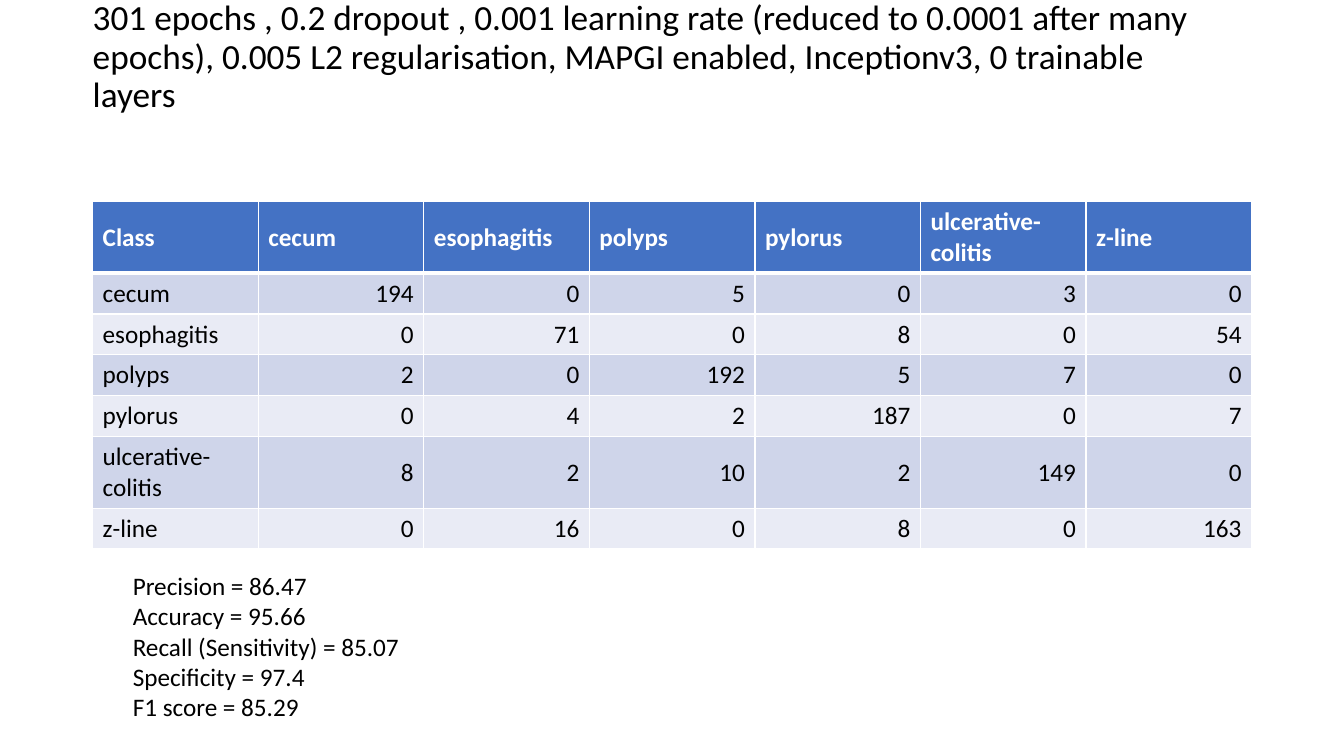
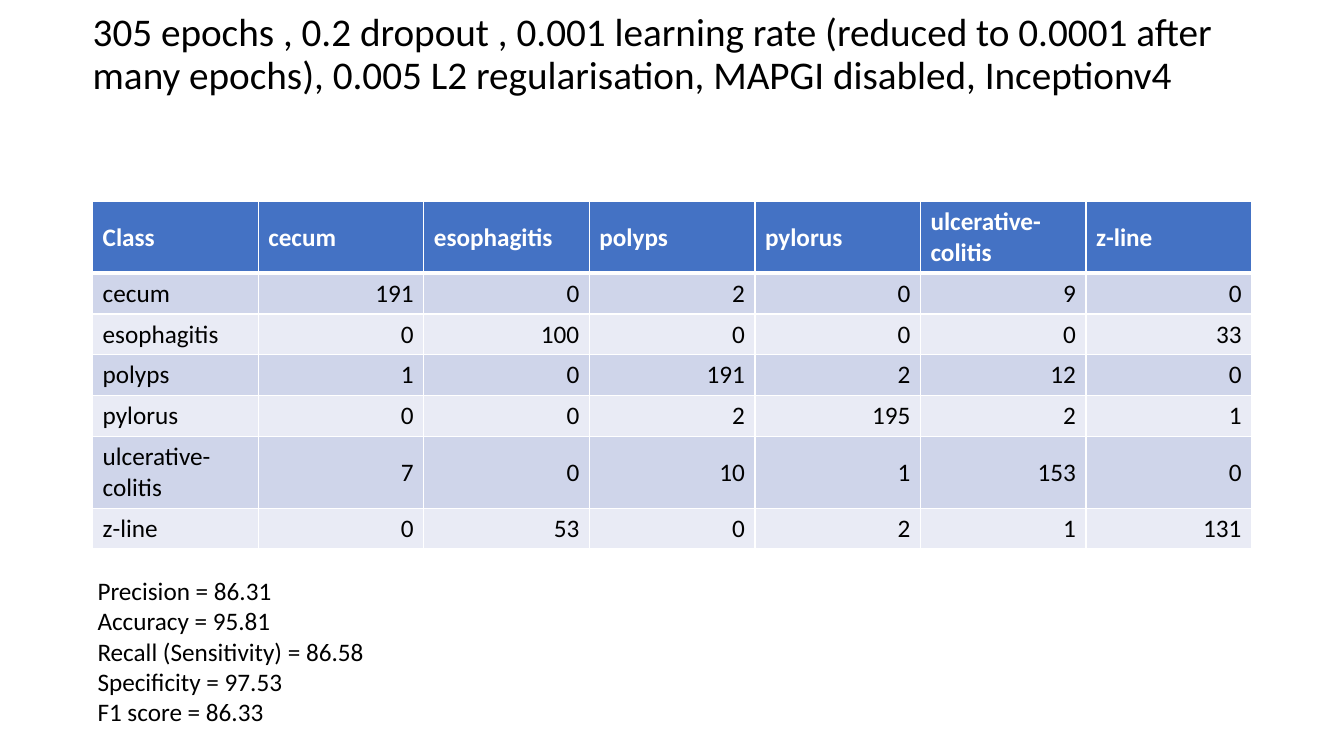
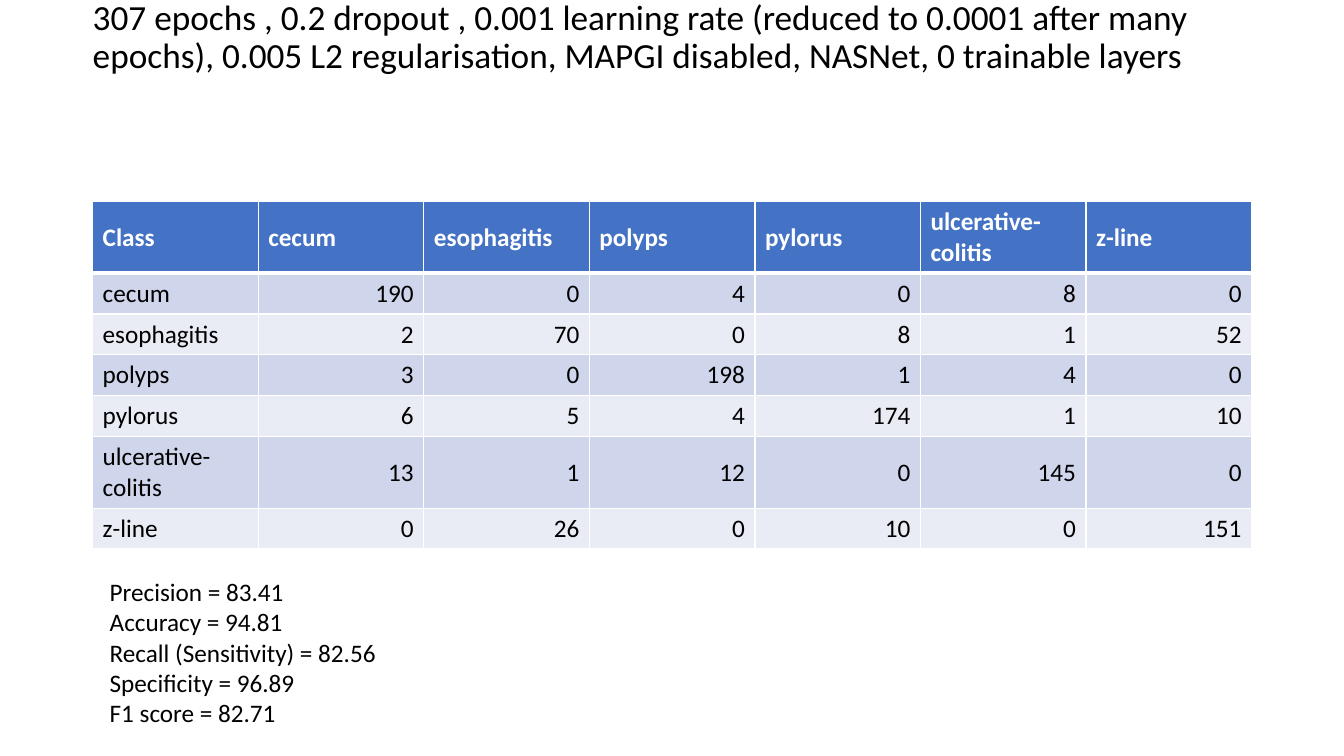
from lxml.etree import SubElement
from pptx import Presentation
from pptx.dml.color import RGBColor
from pptx.enum.text import MSO_ANCHOR, PP_ALIGN
from pptx.oxml.ns import qn
from pptx.util import Pt

COLORS = {
    "text": "000000",
    "white": "FFFFFF",
    "header": "4472C4",
    "odd_row": "CFD5EA",
    "even_row": "E9EBF5",
}
FONT = "Calibri"
BODY_SIZE = 18
INSET = 3.6
LINE_HEIGHT = 1.22
TITLE_SPACING = 0.9

TITLE_BOX = (59.2, 17.2, 828, 75.6)
TABLE_BOX = (66.2, 144, 828, 248.2)
METRICS_SIZE = (216, 138)
ONE_LINE_ROW, TWO_LINE_ROW = 29.2, 51.1

CLASSES = ["cecum", "esophagitis", "polyps", "pylorus", "ulcerative-colitis", "z-line"]
METRICS = ["Precision", "Accuracy", "Recall (Sensitivity)", "Specificity", "F1 score"]
COMMON_SETUP = (
    "epochs , 0.2 dropout , 0.001 learning rate "
    "(reduced to 0.0001 after many epochs), 0.005 L2 regularisation, MAPGI"
)

# title_gap: title lines kept free below the text
EXPERIMENTS = [
    {
        "title": f"301 {COMMON_SETUP} enabled, Inceptionv3, 0 trainable layers",
        "title_size": 25.2,
        "title_gap": 1,
        "confusion": [
            [194, 0, 5, 0, 3, 0],
            [0, 71, 0, 8, 0, 54],
            [2, 0, 192, 5, 7, 0],
            [0, 4, 2, 187, 0, 7],
            [8, 2, 10, 2, 149, 0],
            [0, 16, 0, 8, 0, 163],
        ],
        "scores": [86.47, 95.66, 85.07, 97.4, 85.29],
        "scores_at": (87.8, 403.9),
    },
    {
        "title": f"305 {COMMON_SETUP} disabled, Inceptionv4",
        "title_size": 28,
        "title_gap": 1,
        "confusion": [
            [191, 0, 2, 0, 9, 0],
            [0, 100, 0, 0, 0, 33],
            [1, 0, 191, 2, 12, 0],
            [0, 0, 2, 195, 2, 1],
            [7, 0, 10, 1, 153, 0],
            [0, 53, 0, 2, 1, 131],
        ],
        "scores": [86.31, 95.81, 86.58, 97.53, 86.33],
        "scores_at": (62.6, 407.5),
    },
    {
        "title": f"307 {COMMON_SETUP} disabled, NASNet, 0 trainable layers",
        "title_size": 25.2,
        "title_gap": 2,
        "confusion": [
            [190, 0, 4, 0, 8, 0],
            [2, 70, 0, 8, 1, 52],
            [3, 0, 198, 1, 4, 0],
            [6, 5, 4, 174, 1, 10],
            [13, 1, 12, 0, 145, 0],
            [0, 26, 0, 10, 0, 151],
        ],
        "scores": [83.41, 94.81, 82.56, 96.89, 82.71],
        "scores_at": (71.3, 408.2),
    },
]


def color(name):
    return RGBColor.from_string(COLORS[name])


def add_run(paragraph, text, size=BODY_SIZE, color_name="text", bold=False):
    run = paragraph.add_run()
    run.text = text
    run.font.name = FONT
    run.font.size = Pt(size)
    run.font.bold = bold
    run.font.color.rgb = color(color_name)


def add_text_frame(slide, box):
    text_frame = slide.shapes.add_textbox(*map(Pt, box)).text_frame
    text_frame.word_wrap = True
    return text_frame


def add_title(slide, box, text, size, gap_lines):
    """Centre the title together with the free lines below it."""
    text_frame = add_text_frame(slide, box)
    text_frame.vertical_anchor = MSO_ANCHOR.MIDDLE
    gap = gap_lines * size * LINE_HEIGHT * TITLE_SPACING
    text_frame.margin_bottom = Pt(INSET + gap)
    paragraph = text_frame.paragraphs[0]
    paragraph.line_spacing = TITLE_SPACING
    add_run(paragraph, text, size)


def add_borders(cell, widths):
    """Draw white borders, given as widths by side: L, R, T, B."""
    properties = cell._tc.get_or_add_tcPr()
    for side, width in widths.items():
        line = SubElement(properties, qn(f"a:ln{side}"), w=str(Pt(width)))
        fill = SubElement(line, qn("a:solidFill"))
        SubElement(fill, qn("a:srgbClr"), val=COLORS["white"])


def style_cell(cell, text, row, column):
    header = row == 0
    add_borders(cell, {"L": 1, "R": 1, "T": 3 if row == 1 else 1, "B": 3 if header else 1})
    cell.fill.solid()
    cell.fill.fore_color.rgb = color(
        "header" if header else "odd_row" if row % 2 else "even_row"
    )
    cell.vertical_anchor = MSO_ANCHOR.MIDDLE
    paragraph = cell.text_frame.paragraphs[0]
    if not header and column > 0:
        paragraph.alignment = PP_ALIGN.RIGHT
    add_run(paragraph, text, color_name="white" if header else "text", bold=header)


def add_confusion_table(slide, box, confusion):
    rows = [["Class", *CLASSES]]
    rows += [[name, *map(str, counts)] for name, counts in zip(CLASSES, confusion)]
    column_count = len(rows[0])
    table = slide.shapes.add_table(len(rows), column_count, *map(Pt, box)).table
    for column in table.columns:
        column.width = Pt(box[2] / column_count)
    for row, texts in enumerate(rows):
        two_lines = row == 0 or texts[0] == "ulcerative-colitis"
        table.rows[row].height = Pt(TWO_LINE_ROW if two_lines else ONE_LINE_ROW)
        for column, text in enumerate(texts):
            style_cell(table.cell(row, column), text, row, column)


def add_metrics(slide, box, scores):
    paragraph = add_text_frame(slide, box).paragraphs[0]
    for index, (metric, score) in enumerate(zip(METRICS, scores)):
        if index:
            paragraph.add_line_break()
        add_run(paragraph, f"{metric} = {score}")


def add_experiment_slide(presentation, experiment):
    slide = presentation.slides.add_slide(presentation.slide_layouts[6])
    add_title(
        slide, TITLE_BOX, experiment["title"],
        experiment["title_size"], experiment["title_gap"],
    )
    add_confusion_table(slide, TABLE_BOX, experiment["confusion"])
    add_metrics(slide, (*experiment["scores_at"], *METRICS_SIZE), experiment["scores"])


def main():
    presentation = Presentation()
    presentation.slide_width = Pt(960)
    presentation.slide_height = Pt(540)
    for experiment in EXPERIMENTS:
        add_experiment_slide(presentation, experiment)
    presentation.save("out.pptx")


if __name__ == "__main__":
    main()
